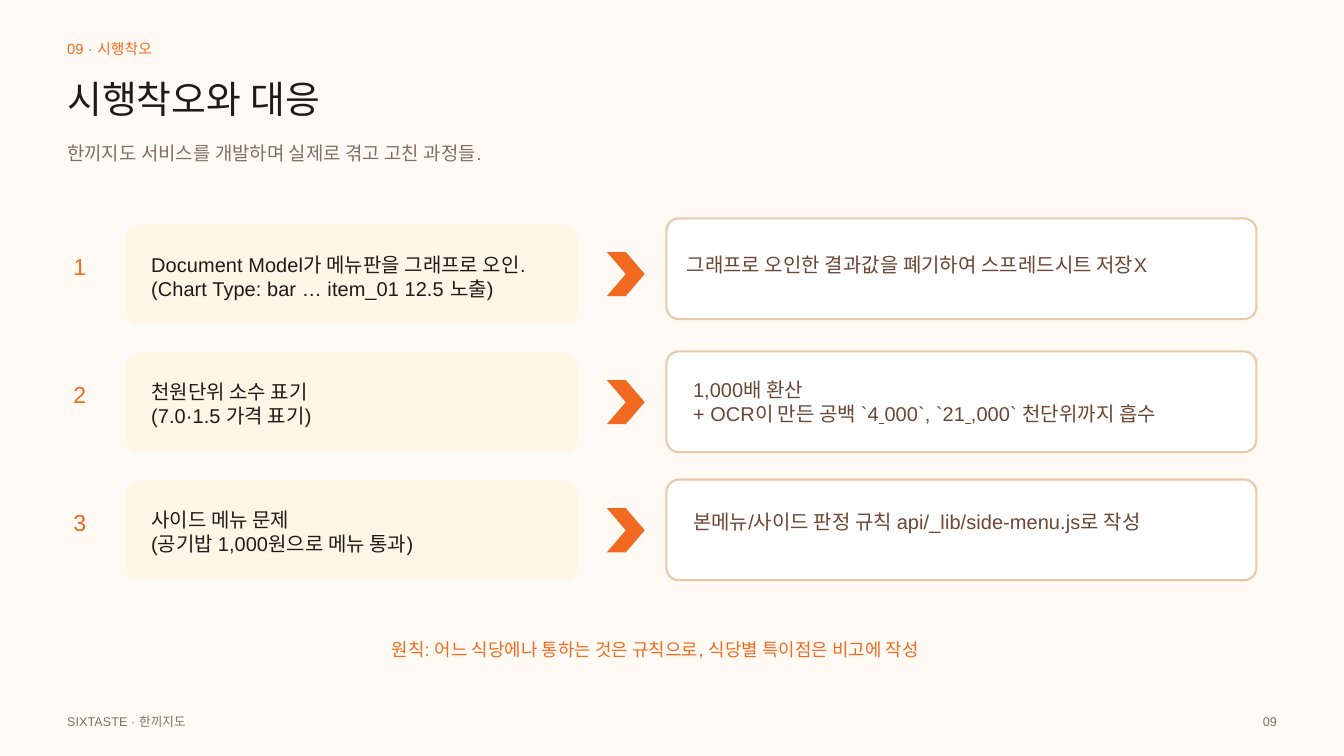
from dataclasses import dataclass

from pptx import Presentation
from pptx.dml.color import RGBColor
from pptx.enum.shapes import MSO_SHAPE as Preset
from pptx.enum.text import PP_ALIGN as Align
from pptx.shapes.autoshape import Shape
from pptx.slide import Slide
from pptx.util import Inches, Pt

COLORS = {
    "paper": "FFFBF4", "orange": "F26A21", "ink": "201A17", "muted": "806F65",
    "cream": "FFF6E8", "white": "FFFFFF", "tan": "E9C9A7", "brown": "6B4632",
}
WIDTH, HEIGHT = 20, 11.25
COLUMNS, ROWS = 1920, 1080  # the grid in which all positions are given
MARGIN = 96
FIRST_ROW, ROW_PITCH = 321, 183
CARD_RADIUS = 18

Line = tuple[str, ...]  # every second piece is underlined


@dataclass(frozen=True)
class Box:
    left: float
    top: float
    width: float
    height: float

    def emu(self) -> tuple[int, int, int, int]:
        x, y = WIDTH / COLUMNS, HEIGHT / ROWS
        return (Inches(self.left * x), Inches(self.top * y),
                Inches(self.width * x), Inches(self.height * y))


@dataclass(frozen=True)
class Style:
    size: float
    color: str
    leading: float
    align: Align = Align.LEFT


@dataclass(frozen=True)
class Trial:
    """A problem and its remedy; the offsets count from the top of the row."""
    problem: tuple[Line, ...]
    remedy: tuple[Line, ...]
    problem_offset: float
    card_offset: float
    remedy_offset: float
    remedy_left: float = 990


LABEL = Style(15.8, "orange", 18.9)
TITLE = Style(40.5, "ink", 48.6)
SUBTITLE = Style(20.2, "muted", 24.3)
NUMBER = Style(24.8, "orange", 29.7)
PROBLEM = Style(21.4, "ink", 25.6)
REMEDY = Style(21.4, "brown", 25.6)
PRINCIPLE = Style(19.1, "orange", 22.9, Align.CENTER)
FOOTER = Style(13.5, "muted", 16.2)
PAGE_NUMBER = Style(13.5, "muted", 16.2, Align.RIGHT)

TRIALS = [
    Trial((("Document Model가 메뉴판을 그래프로 오인.",),
           ("(Chart Type: bar … item_01 12.5 노출)",)),
          (("그래프로 오인한 결과값을 폐기하여 스프레드시트 저장X",),),
          40, -9, 40, remedy_left=981),
    Trial((("천원단위 소수 표기",), ("(7.0·1.5 가격 표기)",)),
          (("1,000배 환산",),
           ("+ OCR이 만든 공백 `4", " ", "000`, `21", " ", ",000` 천단위까지 흡수")),
          38, -2, 35),
    Trial((("사이드 메뉴 문제",), ("(공기밥 1,000원으로 메뉴 통과)",)),
          (("본메뉴/사이드 판정 규칙 api/_lib/side-menu.js로 작성",),),
          38, -2, 41),
]


def rgb(name: str) -> RGBColor:
    return RGBColor.from_string(COLORS[name])


def add_text(slide: Slide, box: Box, style: Style, *lines: Line) -> None:
    frame = slide.shapes.add_textbox(*box.emu()).text_frame
    frame.word_wrap = True
    frame.margin_left = frame.margin_right = 0
    frame.margin_top = frame.margin_bottom = 0
    for index, line in enumerate(lines):
        paragraph = frame.add_paragraph() if index else frame.paragraphs[0]
        paragraph.alignment = style.align
        paragraph.line_spacing = Pt(style.leading)
        paragraph.font.name = "Arial"
        paragraph.font.size = Pt(style.size)
        paragraph.font.color.rgb = rgb(style.color)
        for position, piece in enumerate(line):
            run = paragraph.add_run()
            run.text = piece
            run._r.get_or_add_rPr().set("spc", "10")
            if position % 2:
                run.font.underline = True


def add_filled(slide: Slide, preset: Preset, box: Box, fill: str) -> Shape:
    shape = slide.shapes.add_shape(preset, *box.emu())
    shape.shadow.inherit = False
    shape.fill.solid()
    shape.fill.fore_color.rgb = rgb(fill)
    shape.line.fill.background()
    return shape


def add_card(slide: Slide, box: Box, fill: str, border: str | None = None) -> None:
    card = add_filled(slide, Preset.ROUNDED_RECTANGLE, box, fill)
    card.adjustments[0] = CARD_RADIUS / box.height
    if border:
        card.line.color.rgb = rgb(border)
        card.line.width = Pt(2.25)


def add_trial(slide: Slide, index: int, trial: Trial) -> None:
    top = FIRST_ROW + index * ROW_PITCH
    add_text(slide, Box(105, top + 39, 51, 51), NUMBER, (str(index + 1),))
    add_card(slide, Box(180, top, 645, 141), "cream")
    add_text(slide, Box(216, top + trial.problem_offset, 570, 68), PROBLEM,
             *trial.problem)
    add_filled(slide, Preset.CHEVRON, Box(867, top + 39, 54, 63), "orange")
    add_card(slide, Box(952, top + trial.card_offset, 843, 144), "white", "tan")
    add_text(slide, Box(trial.remedy_left, top + trial.remedy_offset, 765, 68),
             REMEDY, *trial.remedy)


def main() -> None:
    deck = Presentation()
    deck.slide_width, deck.slide_height = Inches(WIDTH), Inches(HEIGHT)
    slide = deck.slides.add_slide(deck.slide_layouts[6])
    slide.background.fill.solid()
    slide.background.fill.fore_color.rgb = rgb("paper")

    add_text(slide, Box(MARGIN, 57, 1170, 25), LABEL, ("09 · 시행착오",))
    add_text(slide, Box(MARGIN, 107.5, 1680, 64), TITLE, ("시행착오와 대응",))
    add_text(slide, Box(MARGIN, 202.5, 1680, 32), SUBTITLE,
             ("한끼지도 서비스를 개발하며 실제로 겪고 고친 과정들.",))
    for index, trial in enumerate(TRIALS):
        add_trial(slide, index, trial)
    add_text(slide, Box(MARGIN, 913, 1680, 29), PRINCIPLE,
             ("원칙: 어느 식당에나 통하는 것은 규칙으로, 식당별 특이점은 비고에 작성",))
    add_text(slide, Box(MARGIN, 1019.5, 450, 27), FOOTER, ("SIXTASTE · 한끼지도",))
    add_text(slide, Box(1770, 1019.5, 54, 27), PAGE_NUMBER, ("09",))
    deck.save("out.pptx")


if __name__ == "__main__":
    main()
